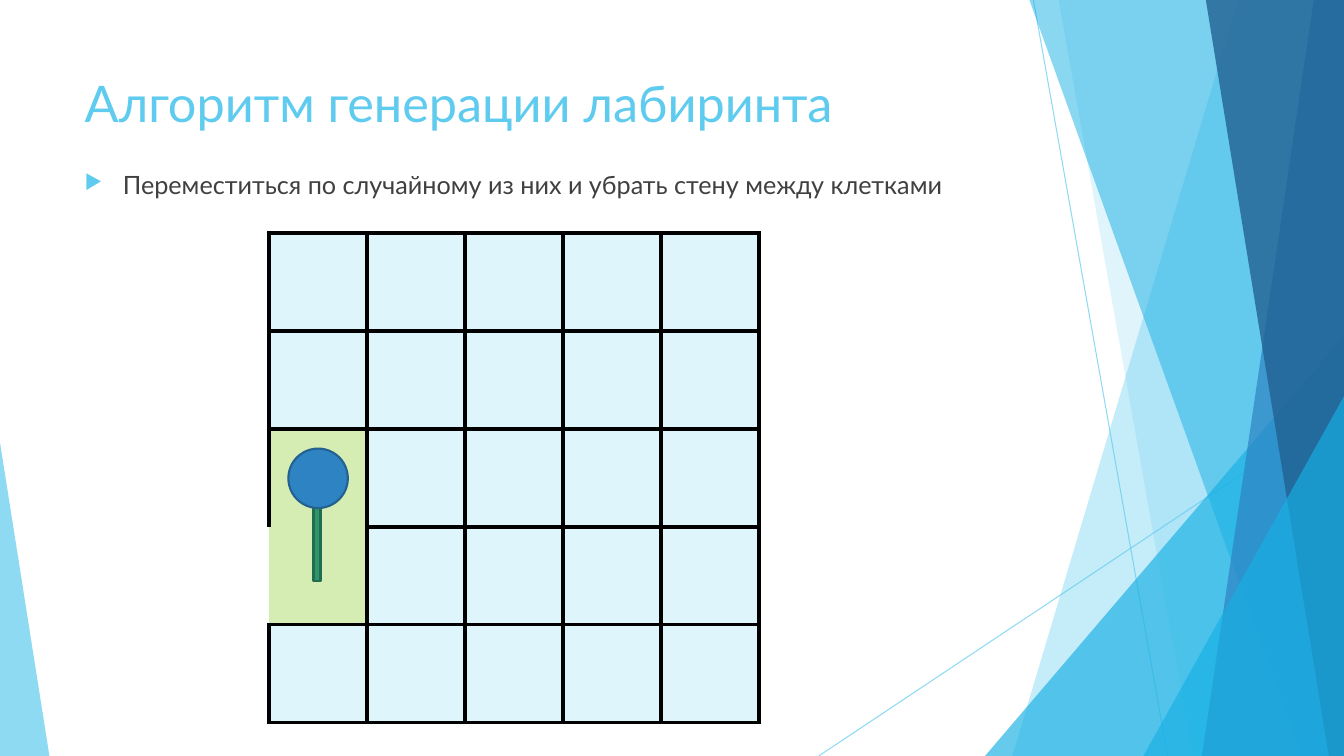
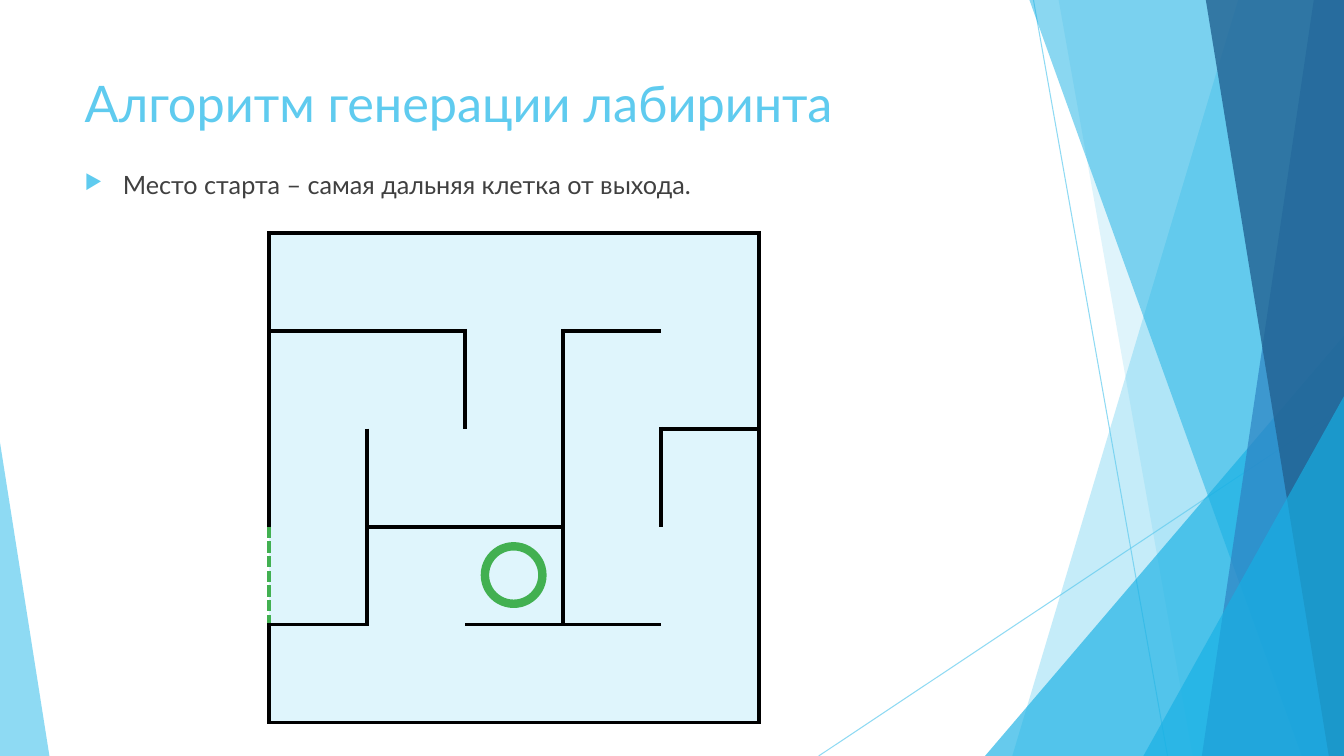
from collections.abc import Sequence
from dataclasses import dataclass, field

from lxml.etree import SubElement
from pptx import Presentation
from pptx.dml.color import RGBColor
from pptx.enum.shapes import MSO_CONNECTOR as Connector, MSO_SHAPE as Preset
from pptx.enum.text import MSO_ANCHOR as Anchor
from pptx.oxml.ns import qn
from pptx.util import Inches, Pt

SKY = RGBColor(0x5F, 0xCB, 0xEF)
AZURE = RGBColor(0x17, 0xB0, 0xE4)
BLUE = RGBColor(0x2E, 0x83, 0xC3)
BLUE_EDGE = RGBColor(0x22, 0x61, 0x90)
NAVY = RGBColor(0x22, 0x62, 0x92)
INK = RGBColor(0x40, 0x40, 0x40)
WALL = RGBColor(0x00, 0x00, 0x00)
CELL = RGBColor(0xDF, 0xF5, 0xFC)
VISITED = RGBColor(0xD5, 0xED, 0xB3)
GREEN = RGBColor(0x42, 0xB0, 0x51)
STEM = RGBColor(0x2E, 0x94, 0x6B)
STEM_EDGE = RGBColor(0x22, 0x6D, 0x4F)

FONT = "Lato"
WIDTH, HEIGHT = 13.33, 7.5
GRID_LEFT, GRID_TOP, GRID_SIZE = 2.67, 2.31, 4.86
CELLS = 5
WALL_WIDTH = 3
PLAIN_TABLE_STYLE = "{2D5ABB26-0587-4C30-8999-92F81FD0307C}"
TITLE = "Алгоритм генерации лабиринта"


@dataclass(frozen=True)
class Ray:
    start: tuple[float, float]
    end: tuple[float, float]


@dataclass(frozen=True)
class Band:
    """A full-height band reaching the right edge, with a slanted left side."""
    top_x: float
    bottom_x: float
    color: RGBColor
    opacity: int


@dataclass(frozen=True)
class Corner:
    """A right triangle standing on the bottom edge; peak is 0 (left) or 1 (right)."""
    left: float
    top: float
    width: float
    peak: int
    color: RGBColor
    opacity: int


@dataclass(frozen=True)
class Maze:
    """Walls along grid lines: '#' is a wall, ':' the marked exit, '.' a gap."""
    horizontal: Sequence[str]
    vertical: Sequence[str]
    visited: set[tuple[int, int]] = field(default_factory=set)


RAYS = (Ray((10.25, 0), (11.58, HEIGHT)), Ray((WIDTH, 4.03), (8.12, HEIGHT)))
BACKDROP = (
    Band(12.28, 10.04, SKY, 36),
    Band(10.5, 11.83, SKY, 20),
    Corner(9.77, 3.33, 3.56, 1, AZURE, 66),
    Band(10.21, 12.91, AZURE, 50),
    Band(13.03, 11.92, BLUE, 70),
    Band(11.96, 13.18, NAVY, 80),
    Corner(11.34, 3.93, 1.99, 1, AZURE, 66),
    Corner(0, 4.39, 0.49, 0, SKY, 70),
)
FIRST_STEP = Maze(
    horizontal=("#####", "#####", "#####", ".####", "#####", "#####"),
    vertical=("######", "######", "######", ".#####", "######"),
    visited={(2, 0), (3, 0)},
)
FINISHED = Maze(
    horizontal=("#####", "##.#.", "....#", ".##..", "#.##.", "#####"),
    vertical=("#....#", "#.##.#", "##.###", ":#.#.#", "#....#"),
)


def set_opacity(shape, percent: int) -> None:
    color = shape.element.spPr.find(".//" + qn("a:srgbClr"))
    SubElement(color, qn("a:alpha"), val=str(percent * 1000))


def paint(shape, fill: RGBColor | None = None, line: RGBColor | None = None,
          line_width: float = 1.5) -> None:
    shape.shadow.inherit = False
    if fill is None:
        shape.fill.background()
    else:
        shape.fill.solid()
        shape.fill.fore_color.rgb = fill
    if line is None:
        shape.line.fill.background()
    else:
        shape.line.color.rgb = line
        shape.line.width = Pt(line_width)


def add_preset(slide, preset, left: float, top: float, width: float, height: float):
    return slide.shapes.add_shape(
        preset, Inches(left), Inches(top), Inches(width), Inches(height))


def add_ray(slide, ray: Ray) -> None:
    x1, y1, x2, y2 = map(Inches, (*ray.start, *ray.end))
    connector = slide.shapes.add_connector(Connector.STRAIGHT, x1, y1, x2, y2)
    connector.line.color.rgb = SKY
    connector.line.width = Pt(0.75)
    set_opacity(connector, 70)
    SubElement(connector.element.spPr, qn("a:effectLst"))


def add_band(slide, band: Band):
    builder = slide.shapes.build_freeform(Inches(band.top_x), 0)
    corners = ((WIDTH, 0), (WIDTH, HEIGHT), (band.bottom_x, HEIGHT))
    builder.add_line_segments([(Inches(x), Inches(y)) for x, y in corners])
    return builder.convert_to_shape()


def add_corner(slide, corner: Corner):
    shape = add_preset(slide, Preset.ISOSCELES_TRIANGLE, corner.left, corner.top,
                       corner.width, HEIGHT - corner.top)
    shape.adjustments[0] = corner.peak
    return shape


def add_backdrop(slide) -> None:
    for ray in RAYS:
        add_ray(slide, ray)
    for part in BACKDROP:
        add_part = add_band if isinstance(part, Band) else add_corner
        shape = add_part(slide, part)
        paint(shape, part.color)
        set_opacity(shape, part.opacity)


def add_text(slide, text: str, *, left: float, top: float, width: float, height: float,
             size: float, color: RGBColor, bullet: bool = False) -> None:
    box = slide.shapes.add_textbox(
        Inches(left), Inches(top), Inches(width), Inches(height))
    frame = box.text_frame
    frame.word_wrap = True
    frame.vertical_anchor = Anchor.TOP
    paragraph = frame.paragraphs[0]
    run = paragraph.add_run()
    run.text = text
    run.font.name = FONT
    run.font.size = Pt(size)
    run.font.color.rgb = color
    if bullet:
        paragraph.space_before = Pt(10)
        add_bullet(paragraph)


def add_bullet(paragraph) -> None:
    properties = paragraph._p.get_or_add_pPr()
    properties.set("marL", str(Inches(0.38)))
    properties.set("indent", str(Inches(-0.38)))
    bullet_color = SubElement(properties, qn("a:buClr"))
    SubElement(bullet_color, qn("a:srgbClr"), val=str(SKY))
    SubElement(properties, qn("a:buSzPct"), val="80000")
    SubElement(properties, qn("a:buChar"), char="▶")


def add_border(cell, side: str, mark: str) -> None:
    properties = cell._tc.get_or_add_tcPr()
    border = SubElement(properties, qn(f"a:ln{side}"), w=str(Pt(WALL_WIDTH)))
    if mark == ".":
        SubElement(border, qn("a:noFill"))
        return
    fill = SubElement(border, qn("a:solidFill"))
    SubElement(fill, qn("a:srgbClr"), val=str(GREEN if mark == ":" else WALL))
    SubElement(border, qn("a:prstDash"), val="dash" if mark == ":" else "solid")


def add_maze(slide, maze: Maze) -> None:
    size = Inches(GRID_SIZE)
    graphic_frame = slide.shapes.add_table(
        CELLS, CELLS, Inches(GRID_LEFT), Inches(GRID_TOP), size, size)
    for style in graphic_frame.element.iter(qn("a:tableStyleId")):
        style.text = PLAIN_TABLE_STYLE
    table = graphic_frame.table
    table.first_row = table.horz_banding = False
    for row in range(CELLS):
        for column in range(CELLS):
            cell = table.cell(row, column)
            add_border(cell, "L", maze.vertical[row][column])
            add_border(cell, "R", maze.vertical[row][column + 1])
            add_border(cell, "T", maze.horizontal[row][column])
            add_border(cell, "B", maze.horizontal[row + 1][column])
            cell.fill.solid()
            cell.fill.fore_color.rgb = VISITED if (row, column) in maze.visited else CELL


def add_maze_slide(presentation, text: str, maze: Maze):
    slide = presentation.slides.add_slide(presentation.slide_layouts[6])
    add_backdrop(slide)
    add_text(slide, TITLE, left=0.74, top=0.67, width=9.4, height=0.97,
             size=36, color=SKY)
    add_text(slide, text, left=0.74, top=1.63, width=8.71, height=0.68,
             size=18, color=INK, bullet=True)
    add_maze(slide, maze)
    return slide


def main() -> None:
    presentation = Presentation()
    presentation.slide_width = Inches(WIDTH)
    presentation.slide_height = Inches(HEIGHT)

    step_slide = add_maze_slide(
        presentation,
        "Переместиться по случайному из них и убрать стену между клетками",
        FIRST_STEP)
    trail = add_preset(step_slide, Preset.RECTANGLE, 3.11, 4.72, 0.07, 1.04)
    paint(trail, STEM, STEM_EDGE)
    walker = add_preset(step_slide, Preset.OVAL, 2.86, 4.45, 0.59, 0.59)
    paint(walker, BLUE, BLUE_EDGE)

    start_slide = add_maze_slide(
        presentation, "Место старта – самая дальняя клетка от выхода.", FINISHED)
    start_ring = add_preset(start_slide, Preset.OVAL, 4.81, 5.42, 0.57, 0.57)
    paint(start_ring, line=GREEN, line_width=6)

    presentation.save("out.pptx")


if __name__ == "__main__":
    main()
